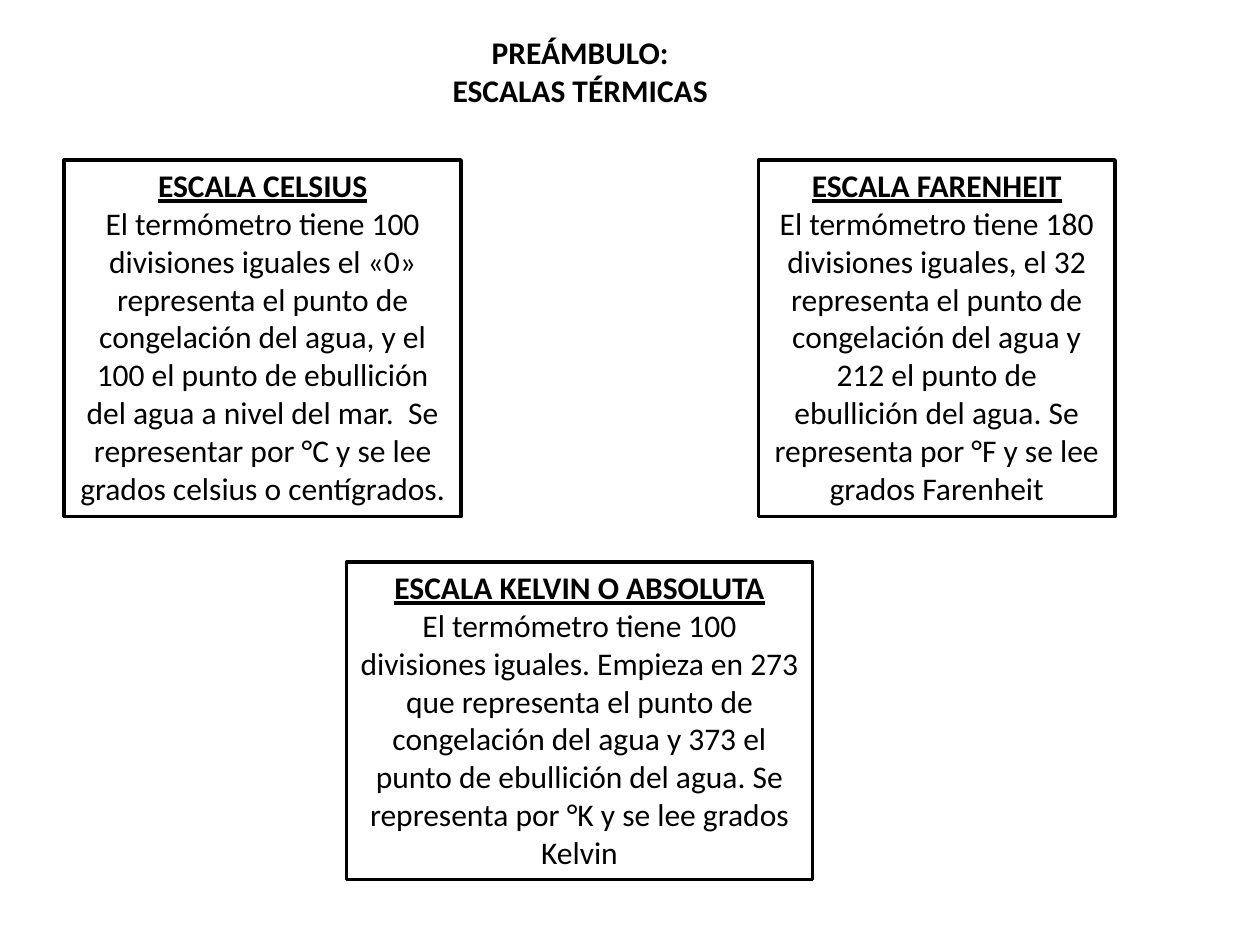
from pptx import Presentation
from pptx.dml.color import RGBColor
from pptx.enum.shapes import MSO_SHAPE
from pptx.enum.text import MSO_ANCHOR, MSO_AUTO_SIZE, PP_ALIGN
from pptx.util import Inches, Pt

# Content
TITLE = ["PREÁMBULO:", "ESCALAS TÉRMICAS"]
TITLE_BOX = (3.48, 0.21, 2.25, 0.71)
# heading, description, (left, top, width, height)
SCALES = [
    ("ESCALA CELSIUS",
     "El termómetro tiene 100 divisiones iguales el «0» representa el punto de "
     "congelación del agua, y el 100 el punto de ebullición del agua a nivel del "
     "mar.  Se representar por °C y se lee grados celsius o centígrados.",
     (0.51, 1.27, 3.15, 2.83)),
    ("ESCALA FARENHEIT",
     "El termómetro tiene 180 divisiones iguales, el 32 representa el punto de "
     "congelación del agua y 212 el punto de ebullición del agua. Se representa "
     "por °F y se lee grados Farenheit",
     (6.02, 1.27, 2.83, 2.83)),
    ("ESCALA KELVIN O ABSOLUTA",
     "El termómetro tiene 100 divisiones iguales. Empieza en 273 que representa "
     "el punto de congelación del agua y 373 el punto de ebullición del agua. Se "
     "representa por °K y se lee grados Kelvin",
     (2.75, 4.46, 3.7, 2.52)),
]
COLORS = {"text": "000000", "line": "000000", "fill": "FFFFFF"}
FONT, SIZE = "Calibri", Pt(18)


def rgb(name):
    return RGBColor.from_string(COLORS[name])


def write(tf, lines, wrap):
    """Fill a text frame with centred (text, bold, underline) lines."""
    tf.word_wrap = wrap
    tf.auto_size = MSO_AUTO_SIZE.SHAPE_TO_FIT_TEXT
    tf.vertical_anchor = MSO_ANCHOR.TOP
    for i, (text, bold, underline) in enumerate(lines):
        p = tf.paragraphs[0] if i == 0 else tf.add_paragraph()
        p.alignment = PP_ALIGN.CENTER
        r = p.add_run()
        r.text = text
        r.font.name, r.font.size = FONT, SIZE
        r.font.bold, r.font.underline = bold, underline
        r.font.color.rgb = rgb("text")


prs = Presentation()
prs.slide_width, prs.slide_height = Inches(10), Inches(7.5)
s = prs.slides.add_slide(prs.slide_layouts[5])

# Title
title = s.shapes.title
title.left, title.top, title.width, title.height = map(Inches, TITLE_BOX)
write(title.text_frame, [(line, True, False) for line in TITLE], wrap=False)

# Boxes, one per temperature scale
for heading, description, box in SCALES:
    sp = s.shapes.add_shape(MSO_SHAPE.RECTANGLE, *map(Inches, box))
    sp.shadow.inherit = False
    sp.fill.solid()
    sp.fill.fore_color.rgb = rgb("fill")
    sp.line.color.rgb = rgb("line")
    sp.line.width = Pt(2)
    write(sp.text_frame,
          [(heading, True, True), (description, False, False)], wrap=True)

prs.save("out.pptx")
